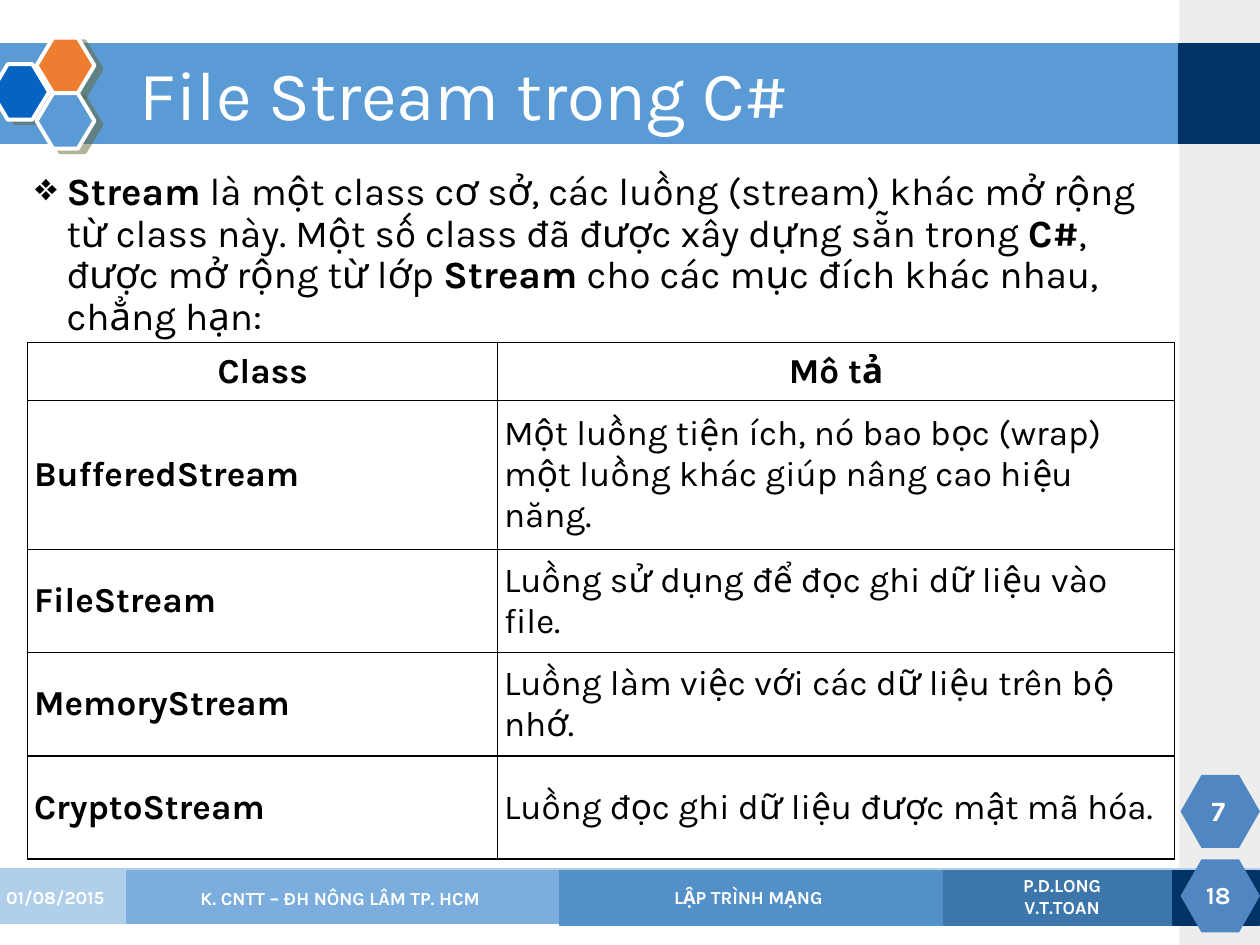
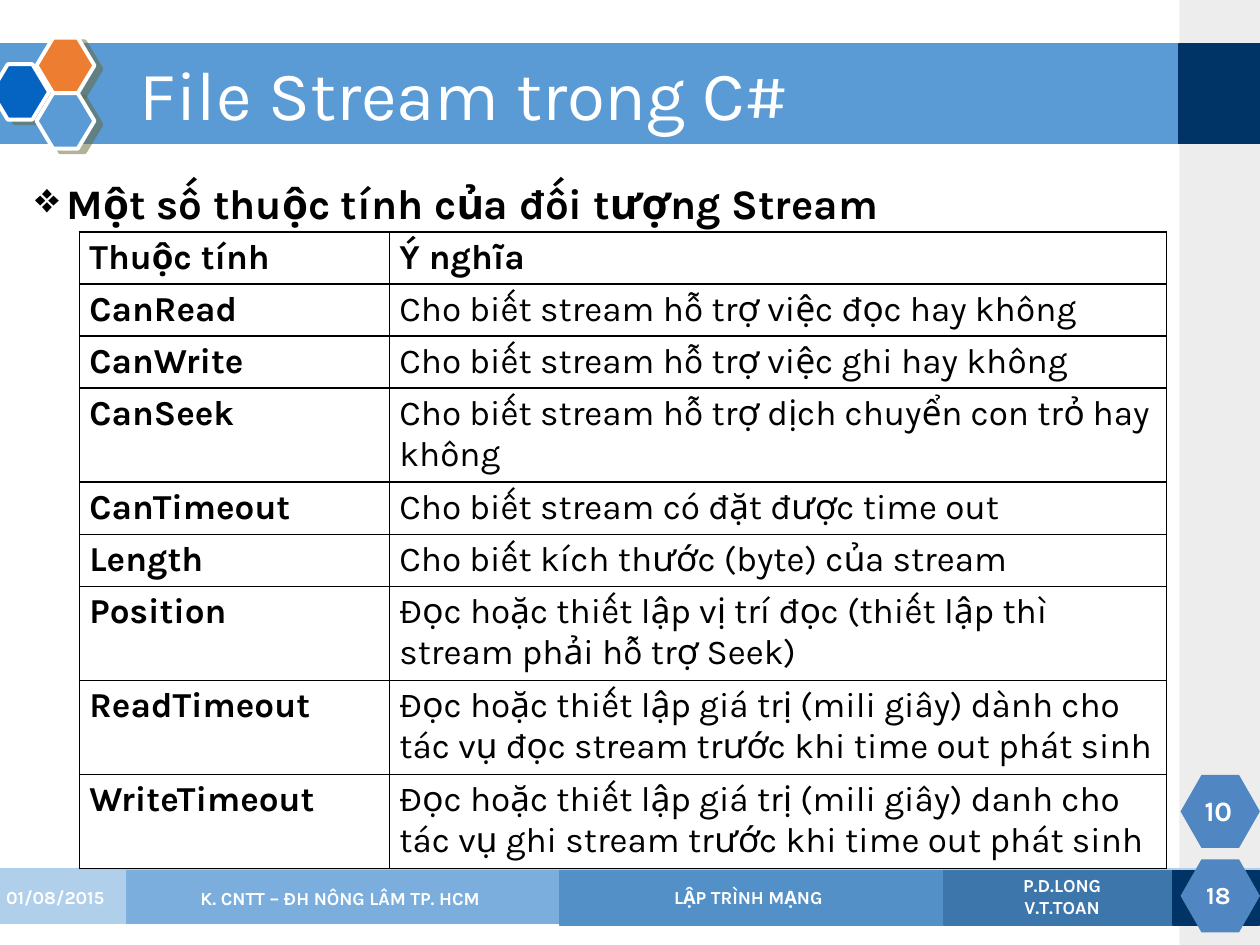
import lxml.etree
import pptx
import pptx.dml.color
import pptx.enum.shapes
import pptx.enum.text
import pptx.oxml.ns
import pptx.util

Inches = pptx.util.Inches
Pt = pptx.util.Pt
qn = pptx.oxml.ns.qn
SHAPE = pptx.enum.shapes.MSO_SHAPE
ALIGN = pptx.enum.text.PP_ALIGN
ANCHOR = pptx.enum.text.MSO_ANCHOR
FIT = pptx.enum.text.MSO_AUTO_SIZE

HUES = {
    "white": "FFFFFF", "black": "000000", "band": "5B9BD5", "navy": "003366",
    "side": "A7A7A7", "blue": "0563C1", "orange": "ED7D31", "badge": "5086C2",
    "shade": "666633", "pale": "7CAFDE", "mid": "478FD1", "deep": "2E74B4",
    "dark": "255D8F", "pale_edge": "B0CFEB", "deep_edge": "5591C9",
    "dark_edge": "3D77AC",
}
FONT = "Karla"
BODY = (0.18, 1.32, 9.14, 5.44)
SMALL = {"size": Pt(10.5), "bold": True}

# box, fill, opacity in percent, edge
FOOT_BARS = [
    ((-0.02, 6.9, 10.02, 0.43), "pale", 60, "pale_edge"),
    ((1.01, 6.91, 8.97, 0.42), "mid", 50, "pale"),
    ((4.44, 6.91, 5.56, 0.43), "deep", 50, "deep_edge"),
    ((7.49, 6.91, 2.5, 0.43), "dark", 50, "dark_edge"),
]
FOOT_TEXTS = [
    ((-0.05, 6.92, 1.1, 0.4), ["01/08/2015"], ALIGN.LEFT),
    ((1.01, 6.93, 3.38, 0.4), ["K. CNTT – ĐH NÔNG LÂM TP. HCM"], ALIGN.CENTER),
    ((4.46, 6.92, 2.96, 0.4), ["LẬP TRÌNH MẠNG"], ALIGN.CENTER),
    ((7.55, 6.91, 1.76, 0.4), ["P.D.LONG", "V.T.TOAN"], ALIGN.CENTER),
]
LOGO_CELLS = [(-0.07, 0.51, "blue"), (0.29, 0.3, "orange"), (0.29, 0.74, "band")]

CLASSES = [
    ("Class", "Mô tả"),
    ("BufferedStream", "Một luồng tiện ích, nó bao bọc (wrap) một luồng khác "
     "giúp nâng cao hiệu năng."),
    ("FileStream", "Luồng sử dụng để đọc ghi dữ liệu vào file."),
    ("MemoryStream", "Luồng làm việc với các dữ liệu trên bộ nhớ."),
    ("CryptoStream", "Luồng đọc ghi dữ liệu được mật mã hóa."),
]
TRAITS = [
    ("Thuộc tính", "Ý nghĩa"),
    ("CanRead", "Cho biết stream hỗ trợ việc đọc hay không"),
    ("CanWrite", "Cho biết stream hỗ trợ việc ghi hay không"),
    ("CanSeek", "Cho biết stream hỗ trợ dịch chuyển con trỏ hay không"),
    ("CanTimeout", "Cho biết stream có đặt được time out"),
    ("Length", "Cho biết kích thước (byte) của stream"),
    ("Position", "Đọc hoặc thiết lập vị trí đọc (thiết lập thì stream phải "
     "hỗ trợ Seek)"),
    ("ReadTimeout", "Đọc hoặc thiết lập giá trị (mili giây) dành cho tác vụ "
     "đọc stream trước khi time out phát sinh"),
    ("WriteTimeout", "Đọc hoặc thiết lập giá trị (mili giây) danh cho tác vụ "
     "ghi stream trước khi time out phát sinh"),
]


def hue(name):
    return pptx.dml.color.RGBColor.from_string(HUES[name])


def put(target, form):
    for name, value in form.items():
        setattr(target, name, value)


def sub(parent, tag, **attrs):
    """Add an XML child with the given attributes."""
    return lxml.etree.SubElement(
        parent, qn(tag), {key: str(value) for key, value in attrs.items()})


def add_run(para, text, form, color="white"):
    run = para.add_run()
    run.text = text
    put(run.font, {"name": FONT, **form})
    run.font.color.rgb = hue(color)


def add_shape(shapes, kind, box, fill, edge=None, width=1, alpha=None):
    shape = shapes.add_shape(kind, *map(Inches, box))
    shape.shadow.inherit = False
    shape.fill.solid()
    shape.fill.fore_color.rgb = hue(fill)
    if alpha:
        tint = shape.element.spPr.find(qn("a:solidFill"))[0]
        sub(tint, "a:alpha", val=alpha * 1000)
    if edge:
        shape.line.color.rgb = hue(edge)
        shape.line.width = Pt(width)
    else:
        shape.line.fill.background()
    return shape


def add_text(shapes, box, lines, form, align=ALIGN.CENTER):
    frame = shapes.add_textbox(*map(Inches, box)).text_frame
    put(frame, {"word_wrap": True, "vertical_anchor": ANCHOR.MIDDLE})
    for i, line in enumerate(lines):
        para = frame.add_paragraph() if i else frame.paragraphs[0]
        para.alignment = align
        add_run(para, line, form)


def add_logo(slide):
    cells = slide.shapes.add_group_shape().shapes
    for left, top, fill in LOGO_CELLS:
        cell = add_shape(cells, SHAPE.HEXAGON, (left, top, 0.46, 0.44),
                         fill, "white", 2.25)
        cell.adjustments[0] = 0.3
        glow = sub(cell.element.spPr.find(qn("a:effectLst")), "a:outerShdw",
                   blurRad=0, dist=Pt(4.5), dir=27 * 60000, algn="ctr",
                   rotWithShape=0)
        tint = sub(glow, "a:srgbClr", val=HUES["shade"])
        sub(tint, "a:alpha", val=50000)


def add_frame(slide, page):
    """Draw the bands, footer and page badges."""
    shapes = slide.shapes
    add_shape(shapes, SHAPE.RECTANGLE, (9.36, 0, 0.64, 7.5), "side", alpha=20)
    bars = shapes.add_group_shape().shapes
    for box, fill, alpha, edge in FOOT_BARS:
        add_shape(bars, SHAPE.RECTANGLE, box, fill, edge, alpha=alpha)
    for box, fill in [((-0.02, 0.35, 9.38, 0.79), "band"),
                      ((9.36, 0.35, 0.64, 0.79), "navy"),
                      ((9.31, 6.91, 0.68, 0.43), "navy")]:
        add_shape(shapes, SHAPE.RECTANGLE, box, fill, fill)
    add_logo(slide)
    for top, text, size in [(6.82, "18", 14), (6.15, page, 16)]:
        badge = add_shape(shapes, SHAPE.HEXAGON, (9.37, top, 0.63, 0.58), "badge")
        badge.adjustments[0] = 0.286
        add_text(shapes, (9.37, top + 0.08, 0.6, 0.4), [text],
                 {"size": Pt(size), "bold": True})
    for box, lines, align in FOOT_TEXTS:
        add_text(shapes, box, lines, SMALL, align)


def set_title(slide, text):
    title = slide.shapes.title
    # Bring the title in front of its band.
    title.element.getparent().append(title.element)
    place = zip(("left", "top", "width", "height"), (1.01, 0.4, 8.3, 0.75))
    put(title, {side: Inches(value) for side, value in place})
    put(title.text_frame, {"auto_size": FIT.NONE, "word_wrap": True,
                           "vertical_anchor": ANCHOR.MIDDLE})
    para = title.text_frame.paragraphs[0]
    put(para, {"alignment": ALIGN.LEFT, "line_spacing": 0.9})
    add_run(para, text, {"size": Pt(39.6), "bold": False})


def add_point(slide, parts, size, form):
    """Add a bullet; every other part, from the first, is bold."""
    frame = slide.shapes.add_textbox(*map(Inches, BODY)).text_frame
    frame.word_wrap = True
    para = frame.paragraphs[0]
    put(para, form)
    props = para._p.get_or_add_pPr()
    props.set("marL", str(Inches(0.25)))
    props.set("indent", str(Inches(-0.25)))
    sub(props, "a:buChar", char="❖")
    for i, part in enumerate(parts):
        add_run(para, part, {"size": Pt(size), "bold": i % 2 == 0}, "black")


def add_edges(cell):
    props = cell._tc.get_or_add_tcPr()
    for i, side in enumerate("LRTB"):
        line = sub(props, f"a:ln{side}", w=Pt(1))
        sub(sub(line, "a:solidFill"), "a:srgbClr", val=HUES["black"])
        props.insert(i, line)


def add_grid(slide, spot, cols, rows, data, form, head):
    """Add a table; form sets each cell and head aligns the first row."""
    size = (sum(cols), sum(rows))
    grid = slide.shapes.add_table(
        len(rows), len(cols), *map(Inches, spot + size)).table
    put(grid, {"first_row": False, "horz_banding": False})
    for col, width in zip(grid.columns, cols):
        col.width = Inches(width)
    for r, (row, height) in enumerate(zip(grid.rows, rows)):
        row.height = Inches(height)
        for c, cell in enumerate(row.cells):
            put(cell, form)
            cell.fill.background()
            add_edges(cell)
            para = cell.text_frame.paragraphs[0]
            para.alignment = ALIGN.LEFT if r else head
            add_run(para, data[r][c],
                    {"size": Pt(20), "bold": r == 0 or c == 0}, "black")


def pads(across, down):
    return {"margin_left": Inches(across), "margin_right": Inches(across),
            "margin_top": Inches(down), "margin_bottom": Inches(down)}


def add_slide(deck, page):
    slide = deck.slides.add_slide(deck.slide_layouts[5])
    add_frame(slide, page)
    set_title(slide, "File Stream trong C#")
    return slide


def main():
    deck = pptx.Presentation()
    put(deck, {"slide_width": Inches(10), "slide_height": Inches(7.5)})

    slide = add_slide(deck, "7")
    add_point(slide, [
        "Stream",
        " là một class cơ sở, các luồng (stream) khác mở rộng từ class này. "
        "Một số class đã được xây dựng sẵn trong ",
        "C#", ", được mở rộng từ lớp ",
        "Stream", " cho các mục đích khác nhau, chẳng hạn:",
    ], 22, {"line_spacing": 0.9, "space_before": Pt(10)})
    add_grid(slide, (0.22, 2.72), (3.73, 5.37), (0.46, 1.18) + (0.82,) * 3,
             CLASSES, {**pads(0.05, 0.05), "vertical_anchor": ANCHOR.MIDDLE},
             ALIGN.CENTER)

    slide = add_slide(deck, "10")
    add_point(slide, ["Một số thuộc tính của đối tượng Stream"], 24,
              {"line_spacing": 1.1, "space_before": Pt(6)})
    add_grid(slide, (0.63, 1.84), (2.46, 6.17), (0.32,) * 6 + (0.57,) * 3,
             TRAITS, {**pads(0.08, 0.04), "vertical_anchor": ANCHOR.TOP},
             ALIGN.LEFT)

    deck.save("out.pptx")


if __name__ == "__main__":
    main()
